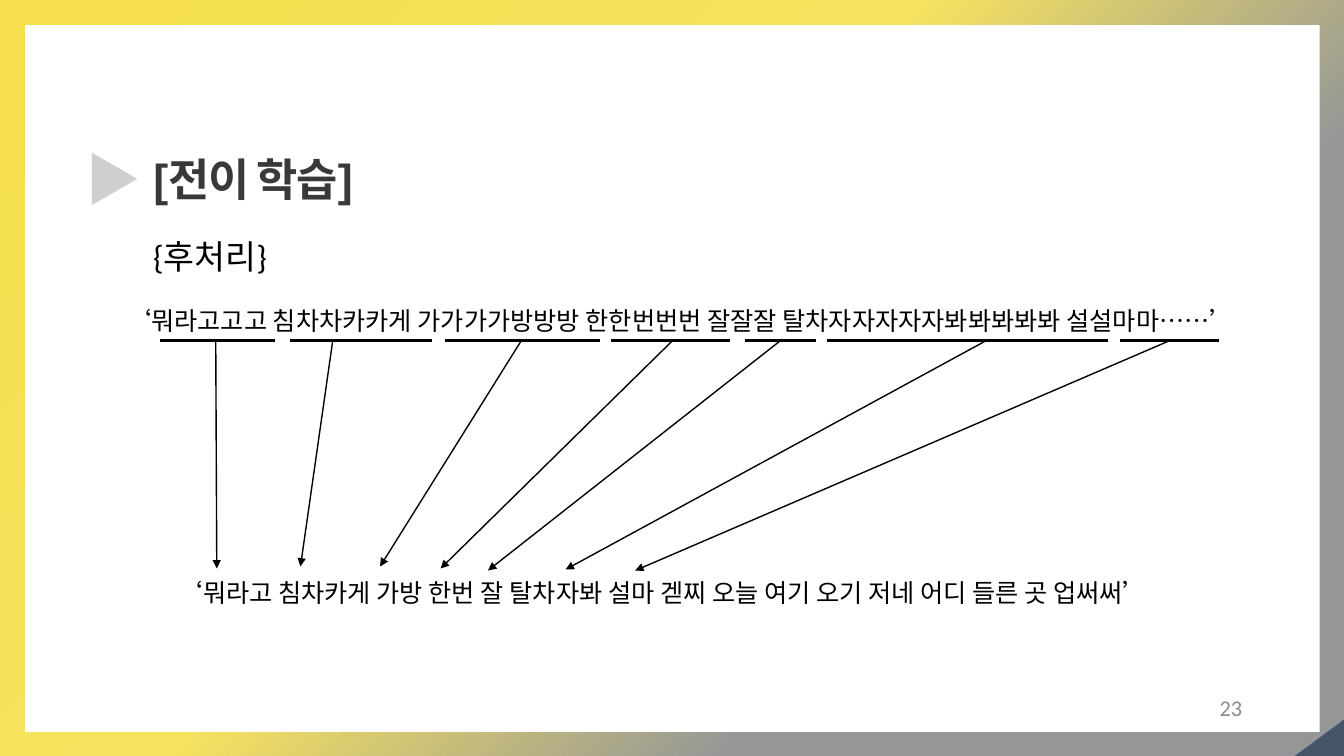
from lxml.etree import SubElement
from pptx import Presentation
from pptx.dml.color import RGBColor
from pptx.enum.dml import MSO_PATTERN
from pptx.enum.shapes import MSO_CONNECTOR, MSO_SHAPE
from pptx.enum.text import MSO_ANCHOR, MSO_AUTO_SIZE, PP_ALIGN
from pptx.oxml.ns import qn
from pptx.util import Inches, Pt

KOREAN = "Noto Sans CJK KR"
BACKGROUND_STOPS = [(0, "F5DF4D", 100), (44, "F6E25F", 70),
                    (71, "949698", 70), (100, "939597")]
UNDERLINE_TOP = 3.38
UNDERLINES = [(1.59, 2.73), (2.88, 4.28), (4.41, 5.95), (6.06, 7.24),
              (7.39, 8.09), (8.2, 10.07), (9.86, 10.99), (11.11, 12.09)]
ARROWS = [(2.14, 2.15, 5.64), (3.3, 2.98, 5.62), (5.17, 3.77, 5.62),
          (6.67, 4.37, 5.64), (7.74, 4.84, 5.66), (9.78, 5.61, 5.65),
          (11.6, 6.3, 5.66)]
REPEATED = "‘뭐라고고고 침차차카카게 가가가가방방방 한한번번번 잘잘잘 탈차자자자자자봐봐봐봐봐 설설마마……’"
CLEANED = "‘뭐라고 침차카게 가방 한번 잘 탈차자봐 설마 겓찌 오늘 여기 오기 저네 어디 들른 곳 업써써’"


def color(value):
    return RGBColor.from_string(value)


def set_values(target, values):
    for name, value in values.items():
        setattr(target, name, value)


def set_background(slide):
    fill = slide.background.fill
    fill.gradient()
    fill.gradient_angle = 315
    stops = slide.background._cSld.find(".//" + qn("a:gsLst"))
    for stop in list(stops):
        stops.remove(stop)
    for position, value, *opacity in BACKGROUND_STOPS:
        stop = SubElement(stops, qn("a:gs"), pos=str(position * 1000))
        stop_color = SubElement(stop, qn("a:srgbClr"), val=value)
        for percent in opacity:
            SubElement(stop_color, qn("a:alpha"), val=str(percent * 1000))


def add_block(slide, kind, box, fill, rotation=0):
    shape = slide.shapes.add_shape(kind, *map(Inches, box))
    shape.shadow.inherit = False
    shape.fill.solid()
    shape.fill.fore_color.rgb = color(fill)
    shape.line.fill.background()
    shape.rotation = rotation


def format_text(shape, text, size, font, fill, bold=False,
                align=PP_ALIGN.LEFT, anchor=MSO_ANCHOR.TOP,
                auto_size=MSO_AUTO_SIZE.SHAPE_TO_FIT_TEXT):
    frame = shape.text_frame
    set_values(frame, {"word_wrap": True, "vertical_anchor": anchor,
                       "auto_size": auto_size})
    paragraph = frame.paragraphs[0]
    set_values(paragraph, {"alignment": align, "line_spacing": 1.0})
    run = paragraph.add_run()
    run.text = text
    set_values(run.font, {"size": Pt(size), "name": font, "bold": bold})
    run.font.color.rgb = color(fill)
    SubElement(run.font._element, qn("a:ea"), typeface=KOREAN)
    return run


def add_text(slide, box, text, size, font, fill, **options):
    shape = slide.shapes.add_textbox(*map(Inches, box))
    return format_text(shape, text, size, font, fill, **options)


def add_title(slide, text):
    title = slide.shapes.title
    slide.shapes._spTree.append(title._element)
    box = map(Inches, (1.42, 1.46, 9.03, 0.64))
    set_values(title, dict(zip(("left", "top", "width", "height"), box)))
    run = format_text(title, text, 32, "Arial", "3B3838", bold=True)
    run.font._element.set("spc", "-100")


def add_marker(slide):
    run = add_text(slide, (0.75, 1.38, 0.55, 0.77), "▶", 40, KOREAN,
                   "D0CECE", bold=True)
    fill = run.font.fill
    fill.patterned()
    fill.pattern = MSO_PATTERN.DARK_UPWARD_DIAGONAL
    fill.fore_color.rgb = color("939597")
    fill.back_color.rgb = color("D0CECE")
    properties = run.font._element
    outline = SubElement(properties, qn("a:ln"), w=str(Pt(1)))
    properties.insert(0, outline)
    solid = SubElement(outline, qn("a:solidFill"))
    SubElement(solid, qn("a:srgbClr"), val="939597")


def add_line(slide, start, end, width, arrow=False):
    connector = slide.shapes.add_connector(
        MSO_CONNECTOR.STRAIGHT, *map(Inches, start + end))
    connector.line.width = Pt(width)
    connector.line.color.rgb = color("000000")
    if arrow:
        SubElement(connector.line._get_or_add_ln(), qn("a:tailEnd"),
                   type="triangle")
    SubElement(connector._element.spPr, qn("a:effectLst"))


def main():
    presentation = Presentation()
    set_values(presentation, {"slide_width": Inches(13.33),
                              "slide_height": Inches(7.5)})
    slide = presentation.slides.add_slide(presentation.slide_layouts[5])
    set_background(slide)
    add_block(slide, MSO_SHAPE.RIGHT_TRIANGLE, (12.9, 7.07, 0.37, 0.5),
              "445569", rotation=270)
    add_block(slide, MSO_SHAPE.RECTANGLE, (0.25, 0.25, 12.84, 7.01), "FFFFFF")
    add_title(slide, "[전이 학습]")
    add_marker(slide)
    add_text(slide, (9.42, 6.82, 3, 0.4), "23", 16, "Calibri", "8C8C8C",
             align=PP_ALIGN.RIGHT, anchor=MSO_ANCHOR.MIDDLE,
             auto_size=MSO_AUTO_SIZE.NONE)
    add_text(slide, (1.42, 2.29, 3.12, 0.5), "{후처리}", 24, "Calibri", "000000")
    for box, sentence in [((0.98, 5.68, 11.19, 0.4), CLEANED),
                          ((0.8, 2.98, 11.9, 0.4), REPEATED)]:
        add_text(slide, box, sentence, 18, KOREAN, "000000",
                 align=PP_ALIGN.CENTER)
    for left, right in UNDERLINES:
        add_line(slide, (left, UNDERLINE_TOP), (right, UNDERLINE_TOP), 2.25)
    for start, end, bottom in ARROWS:
        add_line(slide, (start, UNDERLINE_TOP), (end, bottom), 1, arrow=True)
    presentation.save("out.pptx")


if __name__ == "__main__":
    main()
